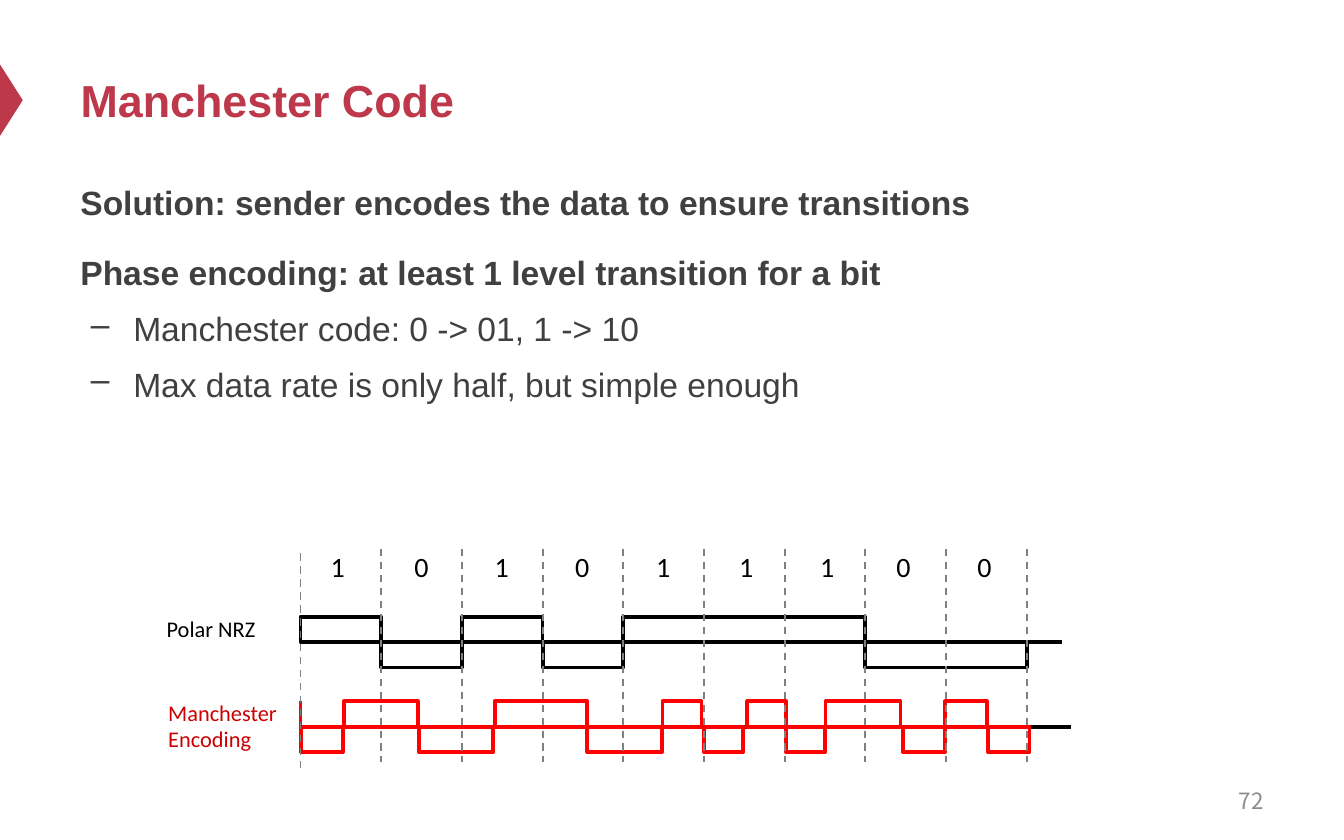
from itertools import groupby

from lxml import etree
from pptx import Presentation
from pptx import util as u
from pptx.dml.color import RGBColor
from pptx.enum import dml, shapes, text
from pptx.oxml.ns import qn

Cm, Pt = u.Cm, u.Pt
rgb = RGBColor.from_string
RED, SIGNAL, BLACK = "BE384B", "FF0000", "000000"

prs = Presentation()
prs.slide_width, prs.slide_height = Cm(25.4), Cm(15.88)
s = prs.slides.add_slide(prs.slide_layouts[5])


def add_text(x, y, w, h, lines, size, font, color, inset=(0.18, 0.1), wrap=True):
    sp = s.shapes.add_textbox(Cm(x), Cm(y), Cm(w), Cm(h))
    tf = sp.text_frame
    tf.word_wrap = wrap
    tf.margin_left = tf.margin_right = Cm(inset[0])
    tf.margin_top = tf.margin_bottom = Cm(inset[1])
    tf.text = lines
    for p in tf.paragraphs:
        for r in p.runs:
            r.font.size, r.font.name = Pt(size), font
            r.font.color.rgb = rgb(color)
    return tf


def add_line(x1, y1, x2, y2, color, width):
    c = s.shapes.add_connector(shapes.MSO_CONNECTOR.STRAIGHT, Cm(x1), Cm(y1), Cm(x2), Cm(y2))
    c.line.color.rgb, c.line.width = rgb(color), Pt(width)
    etree.SubElement(c._element.spPr, qn("a:effectLst"))
    return c


# Marker at the left edge
sp = s.shapes.add_shape(shapes.MSO_SHAPE.ISOSCELES_TRIANGLE, Cm(-0.46), Cm(1.68), Cm(1.35), Cm(0.43))
sp.rotation = 90
sp.shadow.inherit = False
sp.fill.solid()
sp.fill.fore_color.rgb = rgb(RED)
sp.line.fill.background()

# Title
title = s.shapes.title
title.left, title.top, title.width, title.height = Cm(1.27), Cm(0.64), Cm(22.86), Cm(2.49)
tf = title.text_frame
tf.text = "Manchester Code"
tf.vertical_anchor = text.MSO_ANCHOR.MIDDLE
p = tf.paragraphs[0]
p.alignment = text.PP_ALIGN.LEFT
f = p.runs[0].font
f.size, f.name, f.bold, f.color.rgb = Pt(24), "Arial", True, rgb(RED)

# Body: two statements, then two dashed points
body = [
    ("Solution: sender encodes the data to ensure transitions", False),
    ("Phase encoding: at least 1 level transition for a bit", False),
    ("Manchester code: 0 -> 01, 1 -> 10", True),
    ("Max data rate is only half, but simple enough", True),
]
tf = add_text(1.27, 3.15, 22.86, 10.46, "\n".join(line for line, _ in body), 18, "Arial", "404040", (0.25, 0.13))
for i, (p, (_, dashed)) in enumerate(zip(tf.paragraphs, body)):
    if dashed:
        p.level = 1
        pPr = p._p.get_or_add_pPr()
        pPr.set("marL", str(Cm(1)))
        pPr.set("indent", str(Cm(-0.8)))
        etree.SubElement(pPr, qn("a:buChar"), char="–")
    p.line_spacing = 1.2
    if i:
        p.space_before = Pt(4 if dashed else 12)
    p.runs[0].font.bold = not dashed

# Slide number
tf = add_text(18.21, 14.71, 5.92, 0.84, "72", 12, "Noto Sans CJK SC", "8C8C8C", (0.25, 0.13))
tf.vertical_anchor = text.MSO_ANCHOR.MIDDLE
tf.paragraphs[0].alignment = text.PP_ALIGN.RIGHT

# Signal grid
bits = "101011100"
left, bit_w, level_h = 5.68, 1.525, 0.48
polar_y, manchester_y = 12.14, 13.74

# Polar pulses: one per run of equal bits, above the axis for 1
pulses = []
start = 0
for bit, run in groupby(bits):
    n = len(list(run))
    pulses.append((left + start * bit_w, n * bit_w, polar_y, bit == "1", BLACK))
    start += n

# Manchester pulses: start and width, alternating below and above the axis
manchester = [(5.69, 0.79), (6.5, 1.4), (7.92, 1.4), (9.35, 1.75), (11.1, 1.42), (12.52, 0.74), (13.31, 0.74),
              (14.12, 0.74), (14.86, 0.74), (15.6, 1.42), (17.07, 0.79), (17.86, 0.79), (18.67, 0.79)]
for i, (x, w) in enumerate(manchester):
    pulses.append((x, w, manchester_y, i % 2 == 1, SIGNAL))

# Axes and pulses
add_line(left, polar_y, 20.07, polar_y, BLACK, 2)
add_line(left, manchester_y, 20.24, manchester_y, BLACK, 2)
add_line(left, manchester_y - level_h, left, manchester_y, SIGNAL, 1.5)
for x, w, axis, high, color in pulses:
    top = axis - level_h if high else axis
    sp = s.shapes.add_shape(shapes.MSO_SHAPE.RECTANGLE, Cm(x), Cm(top), Cm(w), Cm(level_h))
    sp.shadow.inherit = False
    sp.fill.background()
    sp.line.color.rgb, sp.line.width = rgb(color), Pt(2)

# Signal names
add_text(2.97, 11.53, 2.08, 0.71, "Polar NRZ", 12, "Calibri", BLACK, wrap=False)
add_text(3, 13.11, 2.51, 1.22, "Manchester\nEncoding", 12, "Calibri", "CC0000")

# Bit values
bit_lefts = [6.07, 7.65, 9.17, 10.69, 12.22, 13.79, 15.32, 16.76, 18.29]
for bit, x in zip(bits, bit_lefts):
    add_text(x, 10.29, 0.66, 0.84, bit, 15, "Calibri", BLACK, wrap=False)

# Bit borders
for i in range(len(bits) + 1):
    x = left + i * bit_w
    top, bottom = (10.38, 14.4) if i else (10.46, 14.53)
    c = add_line(x, top, x, bottom, "808080", 1)
    c.line.dash_style = dml.MSO_LINE.DASH

prs.save("out.pptx")
